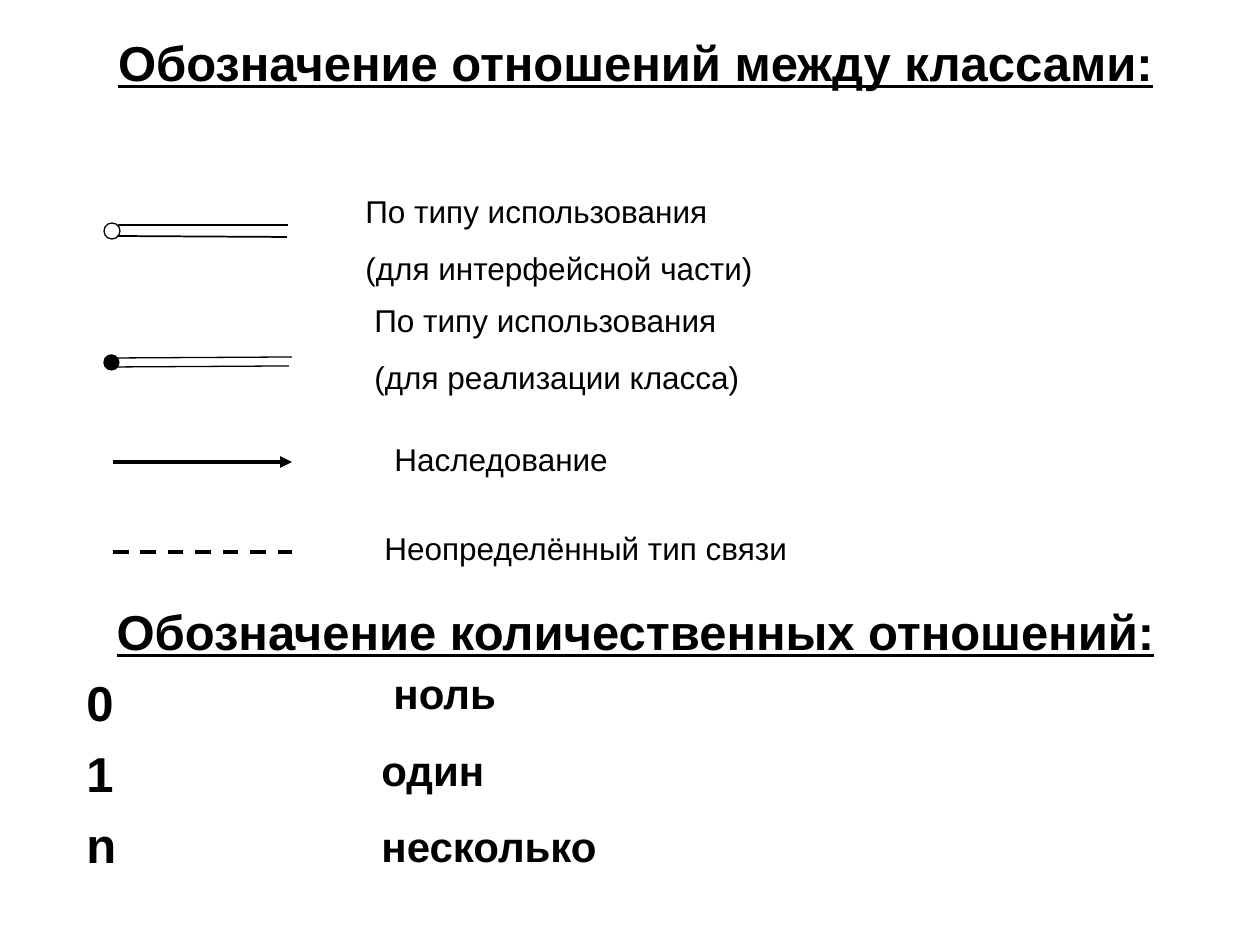
from lxml import etree
from pptx import Presentation
from pptx.dml.color import RGBColor
from pptx.enum.dml import MSO_LINE
from pptx.enum.shapes import MSO_CONNECTOR, MSO_SHAPE
from pptx.enum.text import MSO_ANCHOR, MSO_AUTO_SIZE, PP_ALIGN
from pptx.oxml.ns import qn
from pptx.util import Emu, Pt

PIXEL = 914400 // 126
BLACK = RGBColor(0, 0, 0)
WHITE = RGBColor(255, 255, 255)
STRAIGHT = MSO_CONNECTOR.STRAIGHT
OVAL = MSO_SHAPE.OVAL
DASH = MSO_LINE.DASH
TOP = MSO_ANCHOR.TOP
FIT_SHAPE = MSO_AUTO_SIZE.SHAPE_TO_FIT_TEXT
CENTER, LEFT = PP_ALIGN.CENTER, PP_ALIGN.LEFT


def pixels(*values):
    """Turn picture pixels into EMU."""
    return [Emu(round(value * PIXEL)) for value in values]


class SlideBuilder:
    """Holds the style and the current slide."""

    font = {"name": "Arial"}

    def __init__(self, deck):
        """Add a blank slide to the deck."""
        self.slide = deck.slides.add_slide(deck.slide_layouts[6])
        self.shapes = self.slide.shapes

    def text(self, place, paragraphs, size, leading, bold=False, fit=True):
        """Add a text box; each paragraph is its text and its format values."""
        box = self.shapes.add_textbox(*pixels(*place))
        frame = box.text_frame
        frame.word_wrap = True
        frame.vertical_anchor = TOP
        if fit:
            frame.auto_size = FIT_SHAPE
        for index, (words, values) in enumerate(paragraphs):
            para = frame.add_paragraph() if index else frame.paragraphs[0]
            para.alignment = values.get("align", LEFT)
            para.line_spacing = Pt(leading)
            para.space_before = Pt(values.get("before", 0))
            if "margin" in values:
                para._p.get_or_add_pPr().set("marL", str(pixels(values["margin"])[0]))
            span = para.add_run()
            span.text = words
            style = {**self.font, "size": Pt(size), "bold": bold,
                     "underline": values.get("underline", False)}
            for name, value in style.items():
                setattr(span.font, name, value)
            span.font.color.rgb = BLACK

    def line(self, start, end, width, dash=None, arrow=False, shapes=None):
        """Add a straight line, dashed or with an arrowhead if asked."""
        target = self.shapes if shapes is None else shapes
        line = target.add_connector(STRAIGHT, *pixels(*start, *end))
        line.line.color.rgb = BLACK
        line.line.width = Pt(width)
        if dash is not None:
            line.line.dash_style = dash
        if arrow:
            etree.SubElement(line.line._get_or_add_ln(), qn("a:tailEnd"), type="triangle")
        etree.SubElement(line._element.spPr, qn("a:effectLst"))

    def usage(self, circle, fill, upper, lower, width):
        """Add a usage sign: a double line that ends in a circle."""
        group = self.shapes.add_group_shape().shapes
        self.line(*lower, width, shapes=group)
        left, top, diameter = circle
        dot = group.add_shape(OVAL, *pixels(left, top, diameter, diameter))
        dot.shadow.inherit = False
        dot.fill.solid()
        dot.fill.fore_color.rgb = fill
        dot.line.color.rgb = BLACK
        dot.line.width = Pt(0.74)
        self.line(*upper, width, shapes=group)


def main():
    """Build the slide and save it."""
    deck = Presentation()
    deck.slide_width, deck.slide_height = pixels(1260, 945)
    builder = SlideBuilder(deck)

    heading = {"align": CENTER, "underline": True}
    signs = [(sign, {"before": 7}) for sign in ("0", "1", "n")]
    builder.text((74, 26, 1123, 903), [
        ("Обозначение отношений между классами:", heading),
        ("Обозначение количественных отношений:", {**heading, "before": 291.5}),
        *signs], 28, 33.6, bold=True, fit=False)

    builder.usage((104, 223, 16), WHITE, ((288, 225), (118, 225)),
                  ((287, 237), (112, 236)), 0.99)
    builder.usage((104, 355, 15), BLACK, ((292, 357), (118, 358)),
                  ((289, 366), (110, 367)), 0.74)
    builder.line((113, 462), (292, 462), 2.24, arrow=True)
    builder.line((113, 552), (292, 552), 2.24, dash=DASH)

    labels = [
        ((353, 185, 692, 108), ("По типу использования", "(для интерфейсной части)")),
        ((362, 294, 397, 108), ("По типу использования", "(для реализации класса)")),
        ((382, 433, 358, 50), ("Наследование",)),
        ((372, 522, 525, 50), ("Неопределённый тип связи",)),
    ]
    for place, lines in labels:
        builder.text(place, [(words, {"before": 11.2 * (index > 0)})
                             for index, words in enumerate(lines)], 18, 21.8)

    counts = (("ноль", 128), ("один", 116), ("несколько", 116))
    builder.text((253, 662, 436, 217), [
        (words, {"margin": margin, "before": 15 * (index > 0)})
        for index, (words, margin) in enumerate(counts)], 24, 28.7, bold=True)

    deck.save("out.pptx")


main()
